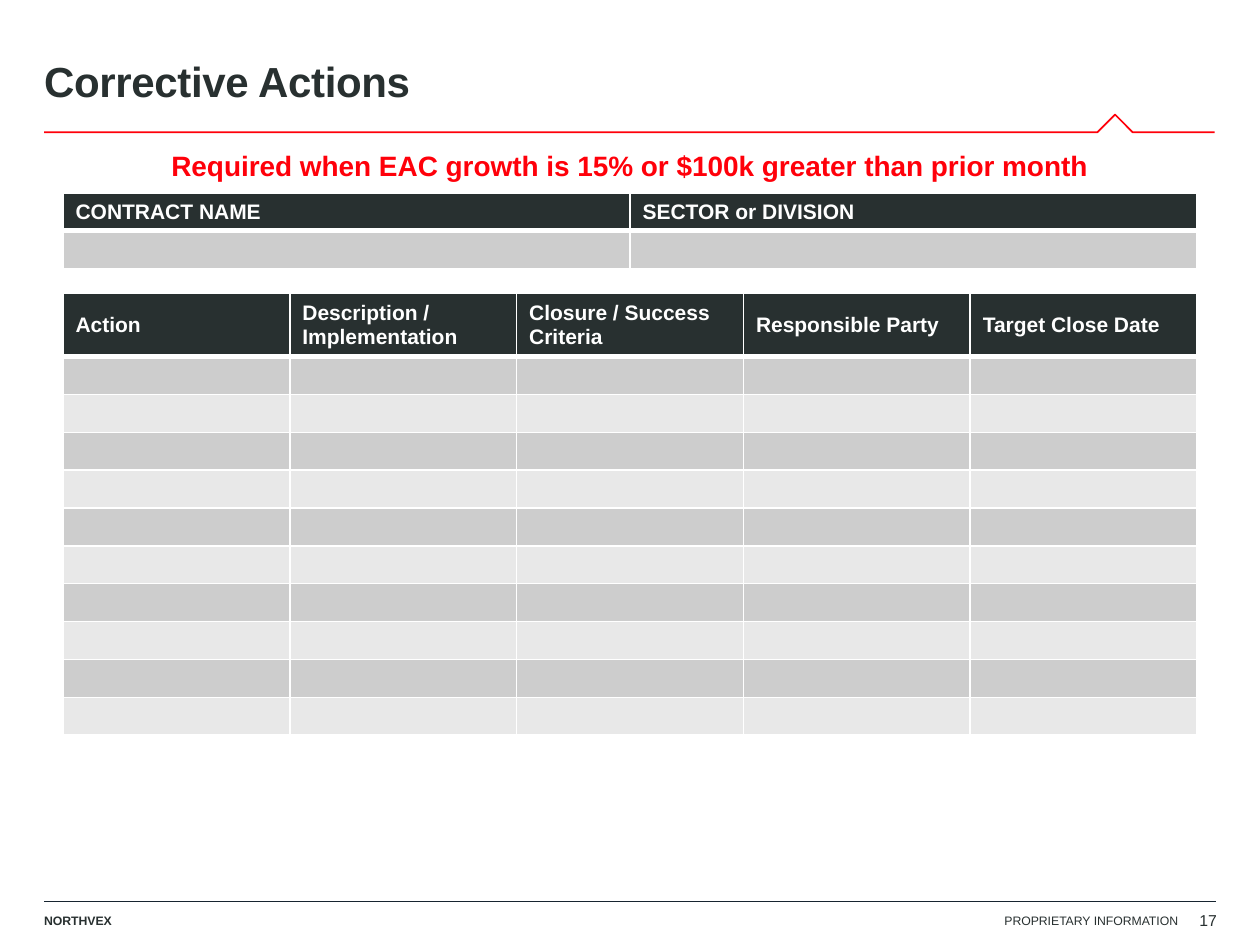
import pptx
import pptx.util
import pptx.dml.color
import pptx.enum.text
import pptx.enum.shapes
import pptx.oxml
import pptx.oxml.ns

W, H = 10, 7.5
MARGIN, TABLE_LEFT, ROW = 0.35, 0.5, 0.3
DARK, RED, WHITE = "283030", "FF000A", "FFFFFF"
BANDS = ["CDCDCD", "E8E8E8"]
ANCHOR, ALIGN = pptx.enum.text.MSO_ANCHOR, pptx.enum.text.PP_ALIGN

TEXTS = [
    ("NORTHVEX", (MARGIN, 7.25, 0.75, 0.15), dict(size=7, bold=True), {}),
    ("17", (9.52, 7.21, 0.23, 0.19), dict(size=9), dict(anchor=ANCHOR.MIDDLE)),
    ("PROPRIETARY INFORMATION", (6.75, 7.25, 2.6, 0.15), dict(size=7), dict(align=ALIGN.RIGHT)),
    ("Corrective Actions", (MARGIN, 0.32, 7.75, 0.7), dict(size=24, bold=True),
     dict(anchor=ANCHOR.MIDDLE, spacing=0.85, tracking=-20)),
    ("Required when EAC growth is 15% or $100k greater than prior month",
     (TABLE_LEFT, 1.18, W - 2 * TABLE_LEFT, 0.27), dict(size=16, bold=True, color=RED),
     dict(align=ALIGN.CENTER)),
]
TABLES = [
    (["CONTRACT NAME", "SECTOR or DIVISION"], 1.53, ROW, 1),
    (["Action", "Description / Implementation", "Closure / Success Criteria",
      "Responsible Party", "Target Close Date"], 2.33, 0.49, 10),
]
RULE = [(9.64, 1.05), (8.99, 1.05), (8.85, 0.91), (8.71, 1.05), (MARGIN, 1.05)]


def inches(*values):
    return [pptx.util.Inches(v) for v in values]


def rgb(color):
    return pptx.dml.color.RGBColor.from_string(color)


def style(font, size, bold=False, color=DARK):
    values = dict(name="Arial", size=pptx.util.Pt(size), bold=bold)
    for key, value in values.items():
        setattr(font, key, value)
    font.color.rgb = rgb(color)


def add_text(s, text, box, font, layout):
    tf = s.shapes.add_textbox(*inches(*box)).text_frame
    values = dict(word_wrap=True, margin_left=0, margin_right=0, margin_top=0,
                  margin_bottom=0, vertical_anchor=layout.get("anchor", ANCHOR.TOP))
    for key, value in values.items():
        setattr(tf, key, value)
    p = tf.paragraphs[0]
    p.alignment = layout.get("align", ALIGN.LEFT)
    p.line_spacing = layout.get("spacing", 1.0)
    r = p.add_run()
    r.text = text
    style(r.font, **font)
    if "tracking" in layout:
        r.font._element.set("spc", str(layout["tracking"]))


def add_borders(cell, bottom):
    pr = cell._tc.get_or_add_tcPr()
    ns = pptx.oxml.ns.nsdecls("a")
    widths = dict(lnL=1, lnR=1, lnT=1, lnB=bottom)
    for i, (tag, width) in enumerate(widths.items()):
        pr.insert(i, pptx.oxml.parse_xml(
            f'<a:{tag} {ns} w="{pptx.util.Pt(width)}"><a:solidFill>'
            f'<a:srgbClr val="{WHITE}"/></a:solidFill></a:{tag}>'))


def add_table(s, headers, top, header_height, body_rows):
    heights = [header_height] + [ROW] * body_rows
    width = W - 2 * TABLE_LEFT
    table = s.shapes.add_table(len(heights), len(headers),
                               *inches(TABLE_LEFT, top, width, sum(heights))).table
    for column in table.columns:
        column.width = pptx.util.Inches(width / len(headers))
    for i, height in enumerate(heights):
        table.rows[i].height = pptx.util.Inches(height)
        for j, header in enumerate(headers):
            cell = table.cell(i, j)
            cell.vertical_anchor = ANCHOR.MIDDLE
            cell.fill.solid()
            cell.fill.fore_color.rgb = rgb(BANDS[(i - 1) % 2] if i else DARK)
            add_borders(cell, 1 if i else 3)
            p = cell.text_frame.paragraphs[0]
            if i == 0:
                r = p.add_run()
                r.text = header
                style(r.font, 12, True, WHITE)
            else:
                p._p.append(pptx.oxml.parse_xml(
                    f'<a:endParaRPr {pptx.oxml.ns.nsdecls("a")} sz="1200"/>'))


def add_rules(s):
    line = s.shapes.add_connector(pptx.enum.shapes.MSO_CONNECTOR.STRAIGHT,
                                  *inches(MARGIN, 7.15, W - MARGIN, 7.15))
    line.line.color.rgb = rgb("172430")
    line.line.width = pptx.util.Pt(0.25)
    line._element.spPr.append(pptx.oxml.parse_xml(
        f'<a:effectLst {pptx.oxml.ns.nsdecls("a")}/>'))
    points = [inches(*point) for point in RULE]
    builder = s.shapes.build_freeform(*points[0])
    builder.add_line_segments(points[1:], close=False)
    sp = builder.convert_to_shape()
    sp.shadow.inherit = False
    sp.fill.background()
    sp.line.color.rgb = rgb(RED)
    sp.line.width = pptx.util.Pt(1)


def main():
    prs = pptx.Presentation()
    prs.slide_width, prs.slide_height = inches(W, H)
    s = prs.slides.add_slide(prs.slide_layouts[6])
    add_rules(s)
    for item in TEXTS:
        add_text(s, *item)
    for item in TABLES:
        add_table(s, *item)
    prs.save("out.pptx")


if __name__ == "__main__":
    main()
